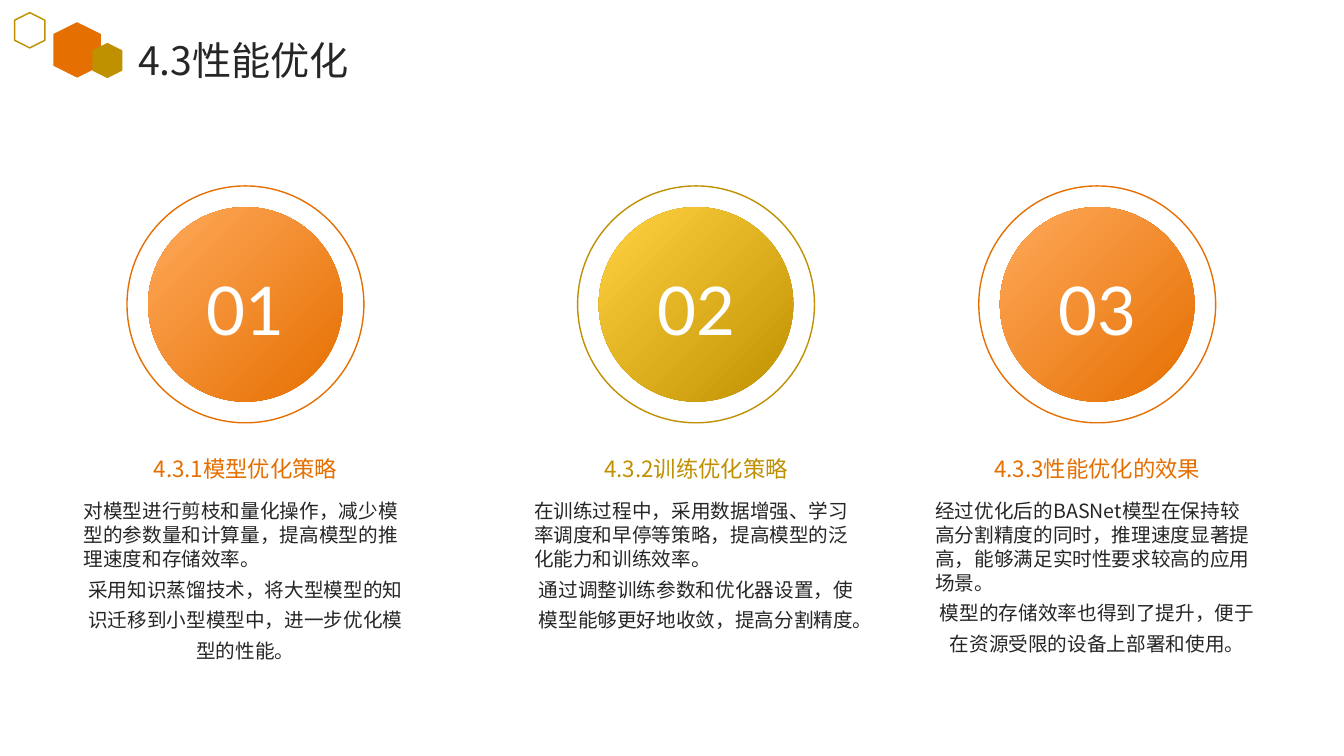
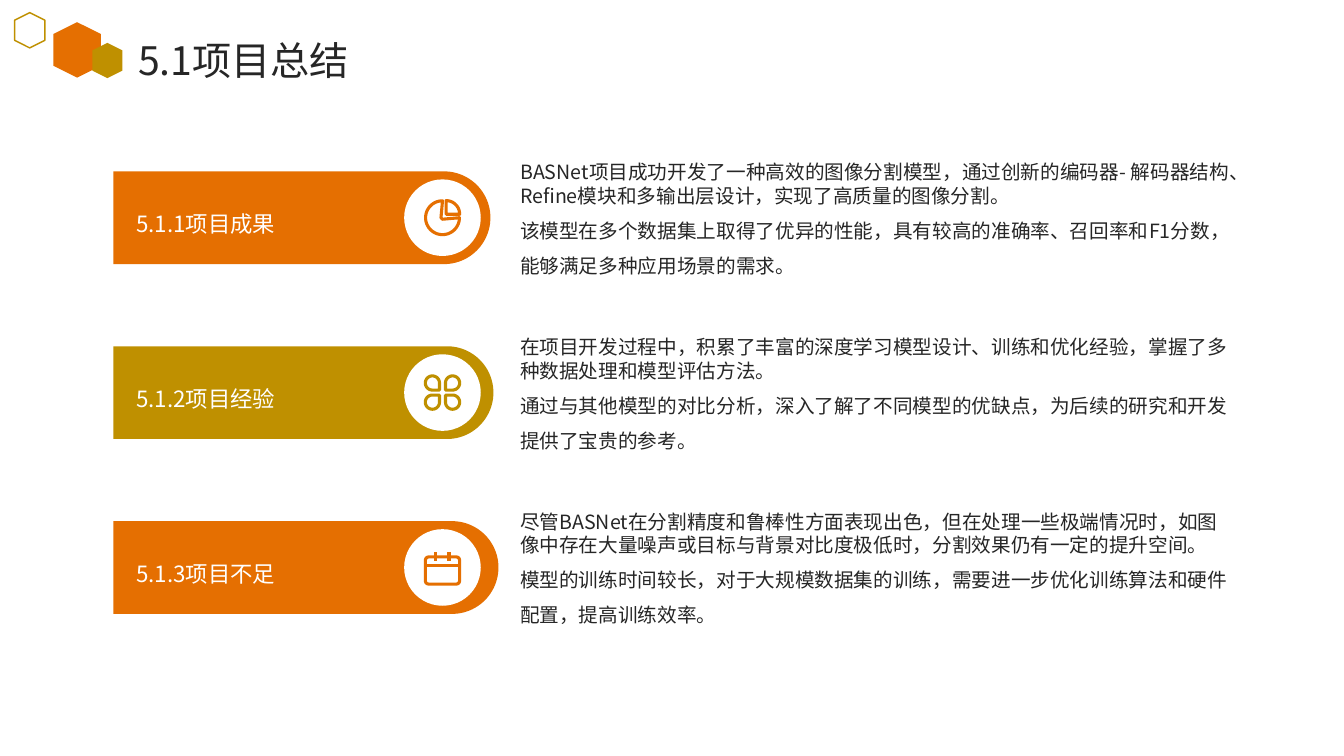
from dataclasses import dataclass
from math import cos, radians, sin
from typing import Optional

from lxml.etree import SubElement
from pptx import Presentation
from pptx.dml.color import RGBColor
from pptx.enum.shapes import MSO_CONNECTOR, MSO_SHAPE as Preset
from pptx.enum.text import MSO_ANCHOR as Anchor, MSO_AUTO_SIZE, PP_ALIGN as Align
from pptx.oxml.ns import qn
from pptx.util import Inches, Pt

# The slide is a grid of square cells, ten to the inch
COLUMNS, ROWS = 133.33, 75
COLORS = {
    "orange": "E56F01", "light orange": "FEA858",
    "gold": "BF9000", "light gold": "FFD040",
    "ink": "262626", "white": "FFFFFF",
}
TEXT_FONT, NUMBER_FONT = "Noto Sans CJK SC", "Lato"
ICON_LINE = 2.2
DEFAULT_INSETS = (1, 0.5)
NO_INSETS = (0, 0)


@dataclass(frozen=True)
class Box:
    left: float
    top: float
    width: float
    height: float

    def lengths(self) -> tuple:
        return cells(self.left), cells(self.top), cells(self.width), cells(self.height)


@dataclass(frozen=True)
class TextStyle:
    size: float
    color: str
    spacing: object  # Pt for a fixed height, float for a multiple
    align: Align = Align.LEFT
    font: str = TEXT_FONT


@dataclass(frozen=True)
class Hexagon:
    box: Box
    color: str
    filled: bool = True


@dataclass(frozen=True)
class Step:
    center: float
    color: str
    heading: str
    paragraphs: tuple


@dataclass(frozen=True)
class Band:
    length: float
    color: str
    label: str
    icon: str
    paragraphs: tuple


TITLE_STYLE = TextStyle(28, "ink", Pt(39))
TITLE_BOX = Box(12.9, 2.5, 110.7, 5.5)
HEXAGONS = (
    Hexagon(Box(4.9, 2.6, 5.5, 4.7), "orange"),
    Hexagon(Box(1.2, 1.5, 3.5, 3), "gold", filled=False),
    Hexagon(Box(8.9, 4.5, 3.5, 3), "gold"),
)
STEPS = (
    Step(24.35, "orange", "4.3.1模型优化策略", (
        "对模型进行剪枝和量化操作，减少模型的参数量和计算量，提高模型的推理速度和存储效率。",
        "采用知识蒸馏技术，将大型模型的知识迁移到小型模型中，进一步优化模型的性能。")),
    Step(69.05, "gold", "4.3.2训练优化策略", (
        "在训练过程中，采用数据增强、学习率调度和早停等策略，提高模型的泛化能力和训练效率。",
        "通过调整训练参数和优化器设置，使模型能够更好地收敛，提高分割精度。")),
    Step(108.85, "orange", "4.3.3性能优化的效果", (
        "经过优化后的BASNet模型在保持较高分割精度的同时，推理速度显著提高，能够满足实时性要求较高的应用场景。",
        "模型的存储效率也得到了提升，便于在资源受限的设备上部署和使用。")),
)
BANDS = (
    Band(37.4, "orange", "5.1.1项目成果", "pie", (
        "BASNet项目成功开发了一种高效的图像分割模型，通过创新的编码器- 解码器结构、Refine模块和多输出层设计，实现了高质量的图像分割。",
        "该模型在多个数据集上取得了优异的性能，具有较高的准确率、召回率和F1分数，能够满足多种应用场景的需求。")),
    Band(37.7, "gold", "5.1.2项目经验", "petals", (
        "在项目开发过程中，积累了丰富的深度学习模型设计、训练和优化经验，掌握了多种数据处理和模型评估方法。",
        "通过与其他模型的对比分析，深入了解了不同模型的优缺点，为后续的研究和开发提供了宝贵的参考。")),
    Band(38.2, "orange", "5.1.3项目不足", "calendar", (
        "尽管BASNet在分割精度和鲁棒性方面表现出色，但在处理一些极端情况时，如图像中存在大量噪声或目标与背景对比度极低时，分割效果仍有一定的提升空间。",
        "模型的训练时间较长，对于大规模数据集的训练，需要进一步优化训练算法和硬件配置，提高训练效率。")),
)
BAND_LEFT, BAND_HEIGHT = 11.25, 9.2
FIRST_BAND, BAND_PITCH = 21.6, 17.35
ICON_CENTER = 43.9


def cells(count: float) -> int:
    return int(Inches(count / 10))


def rgb(color: str) -> RGBColor:
    return RGBColor.from_string(COLORS[color])


def centered(x: float, y: float, width: float, height: float) -> Box:
    return Box(x - width / 2, y - height / 2, width, height)


# Shapes and text
def paint(shape, fill: Optional[str] = None, line: Optional[str] = None,
          weight: float = 1) -> None:
    shape.shadow.inherit = False
    if fill:
        shape.fill.solid()
        shape.fill.fore_color.rgb = rgb(fill)
    else:
        shape.fill.background()
    if line:
        shape.line.color.rgb = rgb(line)
        shape.line.width = Pt(weight)
    else:
        shape.line.fill.background()


def add_preset(slide, preset: Preset, box: Box, **colors):
    shape = slide.shapes.add_shape(preset, *box.lengths())
    paint(shape, **colors)
    return shape


def write(shape, texts: tuple, styles: tuple, anchor: Anchor = Anchor.TOP,
          insets: tuple = DEFAULT_INSETS) -> None:
    frame = shape.text_frame
    frame.word_wrap = True
    frame.auto_size = MSO_AUTO_SIZE.NONE
    frame.vertical_anchor = anchor
    frame.margin_left = frame.margin_right = cells(insets[0])
    frame.margin_top = frame.margin_bottom = cells(insets[1])
    for index, (text, style) in enumerate(zip(texts, styles)):
        paragraph = frame.add_paragraph() if index else frame.paragraphs[0]
        paragraph.text = text
        paragraph.alignment = style.align
        paragraph.line_spacing = style.spacing
        paragraph.font.size = Pt(style.size)
        paragraph.font.color.rgb = rgb(style.color)
        paragraph.font.name = style.font
        properties = paragraph._p.pPr.find(qn("a:defRPr"))
        SubElement(properties, qn("a:ea")).set("typeface", style.font)


def add_text(slide, box: Box, texts: tuple, styles: tuple, **layout) -> None:
    write(slide.shapes.add_textbox(*box.lengths()), texts, styles, **layout)


# Line icons, drawn around a centre
def arc(x: float, y: float, radius: float, start: int, end: int) -> list:
    step = 6 if end > start else -6
    return [(x + radius * cos(radians(angle)), y + radius * sin(radians(angle)))
            for angle in range(start, end + step, step)]


def add_outline(slide, points: list, color: str) -> None:
    corners = [(cells(x), cells(y)) for x, y in points]
    builder = slide.shapes.build_freeform(*corners[0])
    builder.add_line_segments(corners[1:], close=True)
    paint(builder.convert_to_shape(), line=color, weight=ICON_LINE)


def add_line(slide, start: tuple, end: tuple, color: str) -> None:
    ends = [cells(value) for value in (*start, *end)]
    line = slide.shapes.add_connector(MSO_CONNECTOR.STRAIGHT, *ends)
    line.line.color.rgb = rgb(color)
    line.line.width = Pt(ICON_LINE)
    SubElement(line._element.spPr, qn("a:effectLst"))


def draw_pie(slide, x: float, y: float, color: str) -> None:
    add_outline(slide, arc(x, y, 1.68, 270, 0) + [(x, y + 0.15), (x - 0.15, y)], color)
    corner = (x + 0.35, y - 0.35)
    add_outline(slide, arc(*corner, 1.35, -90, 0) + [corner], color)


def draw_petals(slide, x: float, y: float, color: str) -> None:
    radius = 0.7
    for side_x, side_y, inward in ((-1, -1, 45), (1, -1, 135), (1, 1, 225), (-1, 1, 315)):
        center_x, center_y = x + side_x, y + 0.95 * side_y
        tip = (center_x - radius * side_x, center_y - radius * side_y)
        curve = arc(center_x, center_y, radius, inward + 45, inward + 315)
        add_outline(slide, curve + [tip], color)


def draw_calendar(slide, x: float, y: float, color: str) -> None:
    page = add_preset(slide, Preset.ROUNDED_RECTANGLE, Box(x - 1.7, y - 1.05, 3.4, 2.7),
                      line=color, weight=ICON_LINE)
    page.adjustments[0] = 0.12
    add_line(slide, (x - 1.7, y - 0.2), (x + 1.7, y - 0.2), color)
    for peg in (x - 0.65, x + 0.65):
        add_line(slide, (peg, y - 1.5), (peg, y - 0.6), color)


ICONS = {"pie": draw_pie, "petals": draw_petals, "calendar": draw_calendar}


# Parts that the slides share
def add_titled_slide(presentation, title: str):
    slide = presentation.slides.add_slide(presentation.slide_layouts[5])
    slide.background.fill.solid()
    slide.background.fill.fore_color.rgb = rgb("white")
    heading = slide.shapes.title
    heading.left, heading.top, heading.width, heading.height = TITLE_BOX.lengths()
    write(heading, (title,), (TITLE_STYLE,), insets=(0.8, 0.4))
    for hexagon in HEXAGONS:
        colors = {"fill" if hexagon.filled else "line": hexagon.color}
        add_preset(slide, Preset.HEXAGON, hexagon.box, **colors).rotation = 90
    return slide


# Slide with three numbered circles
def add_step(slide, number: int, step: Step) -> None:
    x, y = step.center, 30.2
    disc = add_preset(slide, Preset.FLOWCHART_CONNECTOR, centered(x, y, 19.3, 19.3))
    disc.fill.gradient()
    disc.fill.gradient_angle = 135
    dark, light = disc.fill.gradient_stops
    dark.color.rgb, dark.position = rgb(step.color), 0
    light.color.rgb, light.position = rgb("light " + step.color), 0.98
    add_preset(slide, Preset.FLOWCHART_CONNECTOR, centered(x, y, 23.5, 23.5),
               line=step.color)
    add_text(slide, centered(x, y, 14.3, 10.6), (f"{number:02}",),
             (TextStyle(48, "white", 1.1, Align.CENTER, NUMBER_FONT),), anchor=Anchor.MIDDLE)
    add_text(slide, centered(x, 45.95, 34.1, 6.5), (step.heading,),
             (TextStyle(16, step.color, Pt(27), Align.CENTER),), anchor=Anchor.MIDDLE)
    add_text(slide, Box(x - 17.05, 49, 34.1, 19.2), step.paragraphs,
             (TextStyle(14, "ink", Pt(17)), TextStyle(14, "ink", Pt(22), Align.CENTER)))


# Slide with three labelled bands
def add_band(slide, row: int, band: Band) -> None:
    y = FIRST_BAND + row * BAND_PITCH
    pill = add_preset(slide, Preset.ROUND_2_SAME_RECTANGLE,
                      centered(BAND_LEFT + band.length / 2, y, BAND_HEIGHT, band.length),
                      fill=band.color)
    pill.rotation = 90
    pill.adjustments[0], pill.adjustments[1] = 0.5, 0
    add_preset(slide, Preset.OVAL, centered(ICON_CENTER, y, 7.6, 7.6), fill="white")
    ICONS[band.icon](slide, ICON_CENTER, y, band.color)
    add_text(slide, Box(13.5, y - 3.1, 25.2, 6.3), (band.label,),
             (TextStyle(16, "white", Pt(27)),), anchor=Anchor.MIDDLE, insets=NO_INSETS)
    add_text(slide, Box(51.6, y - 6.5, 70.8, 13.1), band.paragraphs,
             (TextStyle(14, "ink", Pt(17)), TextStyle(14, "ink", Pt(25))),
             anchor=Anchor.MIDDLE, insets=NO_INSETS)


def main() -> None:
    presentation = Presentation()
    presentation.slide_width, presentation.slide_height = cells(COLUMNS), cells(ROWS)
    optimization = add_titled_slide(presentation, "4.3性能优化")
    for number, step in enumerate(STEPS, start=1):
        add_step(optimization, number, step)
    summary = add_titled_slide(presentation, "5.1项目总结")
    for row, band in enumerate(BANDS):
        add_band(summary, row, band)
    presentation.save("out.pptx")


if __name__ == "__main__":
    main()
